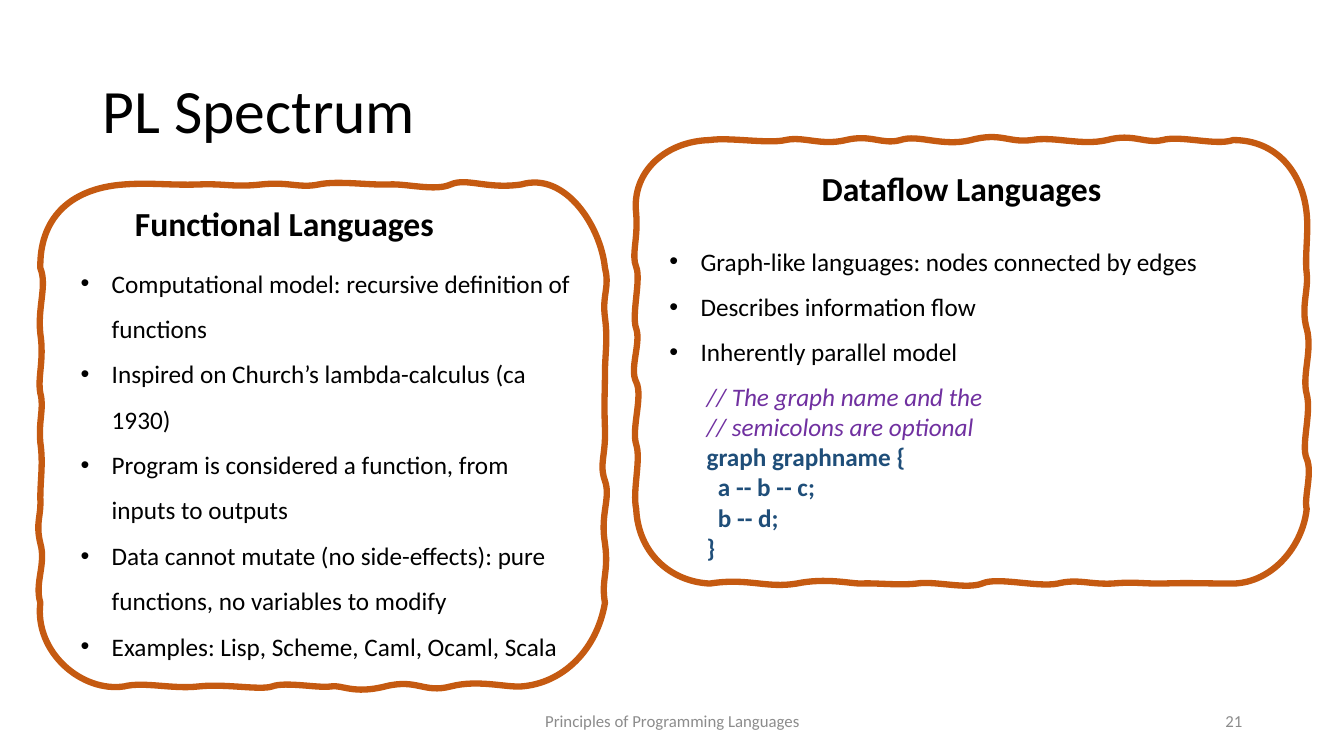
from pptx import Presentation
from pptx.dml.color import RGBColor
from pptx.enum.text import MSO_ANCHOR, PP_ALIGN
from pptx.oxml.ns import qn
from pptx.util import Inches, Pt
from lxml.etree import SubElement

COLORS = {
    "black": "000000",
    "gray": "8C8C8C",
    "orange": "C55A11",
    "purple": "7030A0",
    "navy": "1F4E79",
}

LEFT_EDGE = [
    40, 266, 39, 219, 67, 187, 123, 183, 150, 181, 169, 184, 197, 183,
    225, 182, 231, 186, 259, 183, 286, 180, 297, 187, 316, 183,
    335, 179, 368, 184, 386, 183, 403, 182, 432, 190, 447, 183,
    463, 176, 483, 188, 517, 183, 561, 170, 596, 225, 600, 266,
    605, 285, 597, 292, 600, 315, 603, 337, 600, 352, 600, 370,
    600, 388, 599, 399, 600, 425, 601, 452, 594, 460, 600, 477,
    606, 494, 595, 510, 600, 539, 604, 568, 596, 575, 600, 598,
    592, 645, 558, 678, 517, 681, 501, 682, 474, 674, 447, 681,
    420, 688, 414, 673, 382, 681, 350, 689, 339, 679, 328, 681,
    317, 683, 283, 676, 270, 681, 258, 685, 223, 678, 197, 681,
    171, 684, 143, 676, 123, 681, 81, 687, 34, 647, 40, 598,
    34, 578, 46, 560, 40, 539, 35, 518, 41, 513, 40, 494,
    40, 475, 43, 460, 40, 439, 38, 417, 44, 405, 40, 390,
    37, 374, 44, 358, 40, 331, 37, 305, 47, 283, 40, 266,
]

RIGHT_EDGE = [
    631, 212, 626, 169, 662, 140, 704, 139, 723, 136, 762, 143, 779, 139,
    797, 135, 814, 145, 839, 139, 864, 133, 875, 144, 893, 139,
    911, 133, 934, 146, 963, 139, 993, 131, 1000, 142, 1023, 139,
    1046, 135, 1072, 145, 1098, 139, 1124, 132, 1135, 143, 1153, 139,
    1171, 134, 1206, 145, 1223, 139, 1266, 139, 1292, 171, 1296, 212,
    1298, 231, 1294, 254, 1296, 271, 1298, 288, 1290, 305, 1296, 326,
    1302, 348, 1291, 372, 1296, 391, 1301, 410, 1290, 442, 1296, 455,
    1302, 469, 1293, 494, 1296, 505, 1292, 542, 1262, 578, 1223, 579,
    1197, 579, 1178, 578, 1153, 579, 1127, 579, 1127, 577, 1103, 579,
    1080, 580, 1069, 574, 1049, 579, 1029, 583, 989, 572, 974, 579,
    958, 585, 927, 576, 909, 579, 891, 581, 866, 578, 854, 579,
    843, 579, 819, 573, 790, 579, 760, 584, 742, 573, 704, 579,
    664, 577, 633, 548, 631, 505, 627, 487, 636, 456, 631, 441,
    626, 425, 638, 393, 631, 379, 624, 366, 636, 340, 631, 326,
    626, 313, 636, 277, 631, 265, 626, 253, 633, 237, 631, 212,
]


class Deck:
    font = "Calibri"

    def __init__(self):
        self.prs = Presentation()
        self.prs.slide_width = Inches(13.33)
        self.prs.slide_height = Inches(7.5)
        self.slide = self.prs.slides.add_slide(self.prs.slide_layouts[6])

    def text(self, box, lines, size, color="black", bold=False, italic=False,
             align=PP_ALIGN.LEFT, anchor=MSO_ANCHOR.TOP, wrap=True,
             space=None, bullet=False):
        shape = self.slide.shapes.add_textbox(*map(Inches, box))
        frame = shape.text_frame
        frame.word_wrap = wrap
        frame.vertical_anchor = anchor
        for i, line in enumerate(lines):
            para = frame.add_paragraph() if i else frame.paragraphs[0]
            self.style(para, line, size, color, bold, italic, align, space, bullet)
        return frame

    def style(self, para, line, size, color="black", bold=False, italic=False,
              align=PP_ALIGN.LEFT, space=None, bullet=False):
        para.text = line
        para.alignment = align
        para.line_spacing = space
        if bullet:
            props = para._p.get_or_add_pPr()
            props.set("marL", str(Inches(0.31)))
            props.set("indent", str(-Inches(0.31)))
            SubElement(props, qn("a:buFont")).set("typeface", "Arial")
            SubElement(props, qn("a:buChar")).set("char", "•")
        font = para.font
        font.name = self.font
        font.size = Pt(size)
        font.bold = bold
        font.italic = italic
        font.color.rgb = RGBColor.from_string(COLORS[color])

    def heading(self, box, line):
        self.text(box, [line], 24, bold=True, wrap=False)

    def bullets(self, box, lines):
        self.text(box, lines, 18, space=1.5, bullet=True)

    def footer(self, box, line, align):
        self.text(box, [line], 12, "gray", align=align, anchor=MSO_ANCHOR.MIDDLE)

    def code(self, box, notes, body):
        frame = self.text(box, notes, 18, "purple", italic=True)
        for line in body:
            self.style(frame.add_paragraph(), line, 18, "navy", bold=True)

    def outline(self, edge):
        points = list(zip(edge[::2], edge[1::2]))
        pen = self.slide.shapes.build_freeform(*points[0], scale=Inches(0.01))
        pen.add_line_segments(points[1:], close=True)
        shape = pen.convert_to_shape()
        steps = list(shape._element.iter(qn("a:lnTo")))
        for curve, second, end in zip(steps[::3], steps[1::3], steps[2::3]):
            curve.tag = qn("a:cubicBezTo")
            for step in (second, end):
                curve.append(step[0])
                step.getparent().remove(step)
        shape.shadow.inherit = False
        shape.fill.background()
        shape.line.color.rgb = RGBColor.from_string(COLORS["orange"])
        shape.line.width = Pt(4.5)


def main():
    deck = Deck()
    deck.text((0.92, 0.4, 11.5, 1.45), ["PL Spectrum"], 44,
              anchor=MSO_ANCHOR.MIDDLE, space=0.9)
    deck.footer((4.42, 6.95, 4.5, 0.4), "Principles of Programming Languages",
                PP_ALIGN.CENTER)
    deck.footer((9.42, 6.95, 3, 0.4), "21", PP_ALIGN.RIGHT)

    deck.outline(LEFT_EDGE)
    deck.heading((1.24, 1.96, 3.2, 0.5), "Functional Languages")
    deck.bullets((0.7, 2.46, 5.11, 4.14), [
        "Computational model: recursive definition of functions",
        "Inspired on Church’s lambda-calculus (ca 1930)",
        "Program is considered a function, from inputs to outputs",
        "Data cannot mutate (no side-effects): pure functions, no variables to modify",
        "Examples: Lisp, Scheme, Caml, Ocaml, Scala",
    ])

    deck.outline(RIGHT_EDGE)
    deck.heading((8.05, 1.62, 3.01, 0.5), "Dataflow Languages")
    deck.code((6.91, 3.73, 4.03, 1.92),
              ["// The graph name and the", "// semicolons are optional"],
              ["graph graphname {", "  a -- b -- c;", "  b -- d;", "}"])
    deck.bullets((6.54, 2.24, 5.62, 1.42), [
        "Graph-like languages: nodes connected by edges",
        "Describes information flow",
        "Inherently parallel model",
    ])
    deck.prs.save("out.pptx")


if __name__ == "__main__":
    main()
